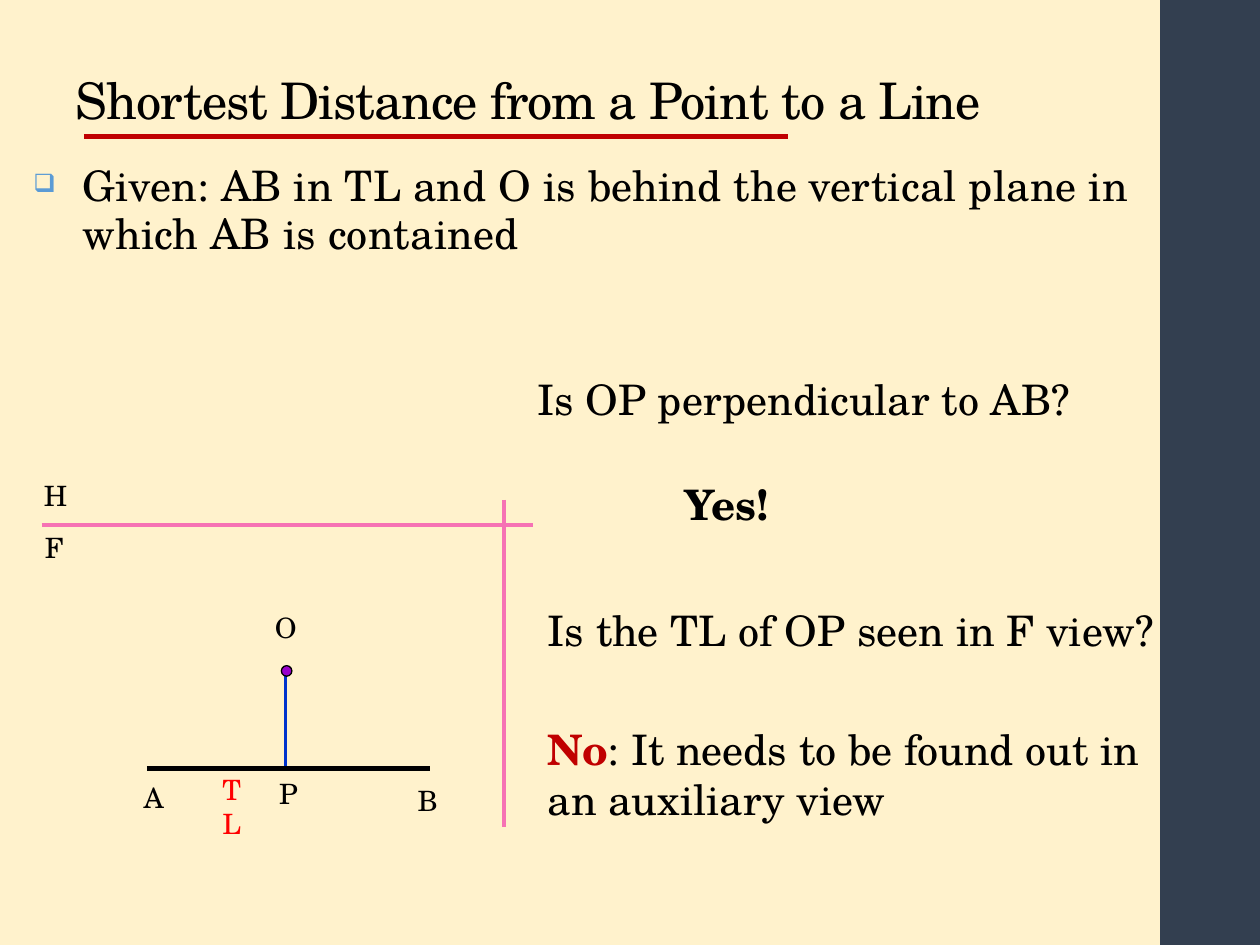
"""Build the slide on the shortest distance from a point to a line."""
from typing import NamedTuple

from lxml.etree import SubElement
from pptx import Presentation
from pptx.dml.color import RGBColor
from pptx.enum.shapes import MSO_CONNECTOR, MSO_SHAPE
from pptx.enum.text import MSO_ANCHOR, MSO_AUTO_SIZE, PP_ALIGN
from pptx.oxml.ns import qn
from pptx.util import Inches, Length, Pt

CREAM = RGBColor(0xFF, 0xF2, 0xCC)
SLATE = RGBColor(0x33, 0x3F, 0x50)
RED = RGBColor(0xC0, 0x00, 0x00)
BRIGHT = RGBColor(0xFF, 0x00, 0x00)
BLUE = RGBColor(0x00, 0x33, 0xCC)
PINK = RGBColor(0xF6, 0x72, 0xB4)
PURPLE = RGBColor(0x99, 0x00, 0xCC)
BLACK = RGBColor(0x00, 0x00, 0x00)
FACE = "TeX Gyre Schola"
COLS = 120


class Line(NamedTuple):
    """A straight line between two grid points."""
    x1: float
    y1: float
    x2: float
    y2: float
    color: RGBColor
    width: float


class Text(NamedTuple):
    """A one-paragraph text in a grid box."""
    text: str
    x: float
    y: float
    w: float
    h: float = 4.4
    size: float = 16
    color: RGBColor = BLACK
    bold: bool = False


LINES = [
    Line(8, 13, 75, 13, RED, 3),
    Line(27.2, 63.8, 27.2, 73.4, BLUE, 2),
    Line(4, 50, 50.8, 50, PINK, 2),
    Line(48, 47.6, 48, 78.8, PINK, 2),
    Line(14, 73.2, 41, 73.2, BLACK, 3),
]
TEXTS = [
    Text("O", 25, 57.6, 4.2),
    Text("F", 3.1, 49.9, 3.7),
    Text("H", 3, 45, 4.1),
    Text("A", 12.5, 73.7, 4.1),
    Text("B", 38.6, 74, 4),
    Text("TL", 20, 73, 4.9, color=BRIGHT),
    Text("P", 25.4, 73.4, 3.8),
    Text("Is OP perpendicular to AB?", 50, 35, 61, 6, 24),
    Text("Yes!", 64, 45, 13, 5, 24, bold=True),
]
GIVEN = Text("Given: AB in TL and O is behind the vertical plane in which AB is contained",
             2, 15, 108, 12, 24)
ASK = Text("Is the TL of OP seen in F view?", 51, 57, 61, 22, 24)

deck = Presentation()
deck.slide_width, deck.slide_height = Inches(10), Inches(7.5)
slide = deck.slides.add_slide(deck.slide_layouts[5])


def cells(*counts: float) -> list[Length]:
    """Turn grid counts into lengths."""
    return [Length(round(n * deck.slide_width / COLS)) for n in counts]


def style(para, size: float, color: RGBColor = BLACK, bold: bool = False) -> None:
    """Set the font of a paragraph."""
    font = para.font
    font.name, font.size, font.bold = FACE, Pt(size), bold
    font.color.rgb = color


def space(para, points: float) -> None:
    """Set the letter spacing of a paragraph."""
    para._p.pPr.find(qn("a:defRPr")).set("spc", str(round(points * 100)))


def bullet(para) -> None:
    """Give a paragraph a hanging box bullet."""
    props = para._p.get_or_add_pPr()
    props.set("marL", str(Inches(0.39)))
    props.set("indent", str(-Inches(0.39)))
    tint = SubElement(props, qn("a:buClr"))
    SubElement(tint, qn("a:srgbClr")).set("val", "5B9BD5")
    SubElement(props, qn("a:buSzPct")).set("val", "60000")
    SubElement(props, qn("a:buChar")).set("char", "❑")


def draw_line(line: Line) -> None:
    """Draw a line without a shadow."""
    link = slide.shapes.add_connector(MSO_CONNECTOR.STRAIGHT, *cells(*line[:4]))
    link.line.color.rgb, link.line.width = line.color, Pt(line.width)
    SubElement(link._element.spPr, qn("a:effectLst"))


def draw_text(item: Text, mark: bool = False):
    """Draw a text box and return its frame."""
    frame = slide.shapes.add_textbox(*cells(*item[1:5])).text_frame
    frame.word_wrap = True
    para = frame.paragraphs[0]
    para.text = item.text
    if mark:
        bullet(para)
    style(para, item.size, item.color, item.bold)
    return frame


def draw_shape(kind: MSO_SHAPE, box: tuple, fill: RGBColor):
    """Draw a filled shape without a shadow."""
    shape = slide.shapes.add_shape(kind, *cells(*box))
    shape.shadow.inherit = False
    shape.fill.solid()
    shape.fill.fore_color.rgb = fill
    return shape


def draw_title() -> None:
    """Place and format the title."""
    title = slide.shapes.title
    title.left, title.top, title.width, title.height = cells(6, 1, 95.4, 12)
    frame = title.text_frame
    frame.text = "Shortest Distance from a Point to a Line"
    frame.vertical_anchor = MSO_ANCHOR.BOTTOM
    frame.auto_size = MSO_AUTO_SIZE.NONE
    para = frame.paragraphs[0]
    para.alignment, para.line_spacing = PP_ALIGN.LEFT, 0.9
    style(para, 28.8)
    space(para, -0.5)


def main() -> None:
    """Build and save the slide."""
    back = slide.background.fill
    back.solid()
    back.fore_color.rgb = CREAM
    draw_shape(MSO_SHAPE.RECTANGLE, (110.5, 0, 9.5, 90), SLATE).line.fill.background()
    draw_title()
    given = draw_text(GIVEN, mark=True).paragraphs[0]
    given.line_spacing = 0.95
    space(given, 0.1)
    for line in LINES:
        draw_line(line)
    dot = draw_shape(MSO_SHAPE.OVAL, (26.8, 63.4, 1, 1), PURPLE)
    dot.line.color.rgb, dot.line.width = BLACK, Pt(0.75)
    for item in TEXTS:
        draw_text(item)
    reply = draw_text(ASK).add_paragraph()
    reply.space_before = Pt(39)
    style(reply, 24)
    word = reply.add_run()
    word.text, word.font.bold = "No", True
    word.font.color.rgb = RED
    reply.add_run().text = ": It needs to be found out in an auxiliary view"
    deck.save("out.pptx")


if __name__ == "__main__":
    main()
